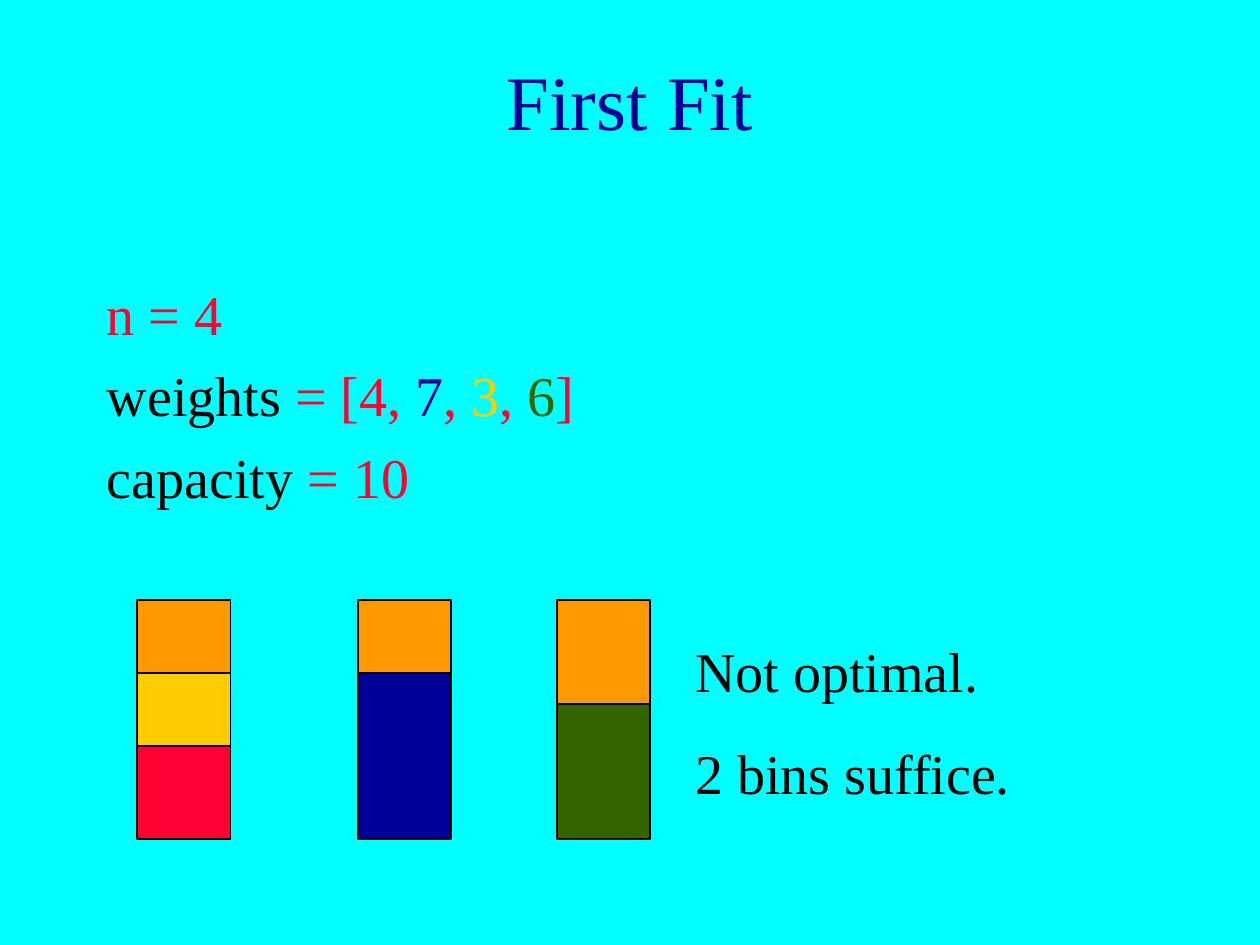
from pptx import Presentation
from pptx.dml.color import RGBColor
from pptx.enum.shapes import MSO_SHAPE as Shape
from pptx.enum.text import MSO_ANCHOR as Anchor, PP_ALIGN as Align
from pptx.util import Inches, Pt

FONT = "Times New Roman"
RED, BLUE, GOLD, GREEN = "FF0033", "000099", "FFCC00", "336600"
ORANGE, BLACK, CYAN = "FF9900", "000000", "00FFFF"

BIN_WIDTH, BIN_HEIGHT, FLOOR = 0.74, 1.9, 6.66
# Left edge of each bin, then its items from the floor up: height, colour
BINS = [
    (1.09, [(0.74, RED), (0.58, GOLD)]),
    (2.84, [(1.32, BLUE)]),
    (4.42, [(1.07, GREEN)]),
]
FACTS = [
    [("n = 4", RED)],
    [("weights ", BLACK), ("= [4, ", RED), ("7", BLUE), (", ", RED),
     ("3", GOLD), (", ", RED), ("6", GREEN), ("]", RED)],
    [("capacity ", BLACK), ("= 10", RED)],
]
REMARKS = [[("Not optimal.", BLACK)], [("2 bins suffice.", BLACK)]]


def paint(fill, color):
    fill.solid()
    fill.fore_color.rgb = RGBColor.from_string(color)


def style(run, size, color):
    run.font.name = FONT
    run.font.size = Pt(size)
    paint(run.font.fill, color)


def add_title(slide, text):
    title = slide.shapes.title
    title.left, title.top = Inches(0.75), Inches(0.17)
    title.width, title.height = Inches(8.5), Inches(1.25)
    frame = title.text_frame
    frame.text = text
    frame.vertical_anchor = Anchor.MIDDLE
    para = frame.paragraphs[0]
    para.alignment = Align.CENTER
    style(para.runs[0], 44, BLUE)


def add_lines(slide, box, lines, gap):
    """Write one paragraph per line, each a list of (text, colour)."""
    frame = slide.shapes.add_textbox(*map(Inches, box)).text_frame
    frame.word_wrap = True
    for i, line in enumerate(lines):
        para = frame.add_paragraph() if i else frame.paragraphs[0]
        para.space_before = Pt(gap)
        for text, color in line:
            run = para.add_run()
            run.text = text
            style(run, 32, color)


def add_block(slide, left, base, height, color):
    """Draw a bin-wide box that stands on base."""
    box = (left, base - height, BIN_WIDTH, height)
    block = slide.shapes.add_shape(Shape.RECTANGLE, *map(Inches, box))
    block.shadow.inherit = False
    paint(block.fill, color)
    paint(block.line.fill, BLACK)
    block.line.width = Pt(1)


def add_bin(slide, left, items):
    add_block(slide, left, FLOOR, BIN_HEIGHT, ORANGE)
    base = FLOOR
    for height, color in items:
        add_block(slide, left, base, height, color)
        base -= height


def main():
    deck = Presentation()
    deck.slide_width, deck.slide_height = Inches(10), Inches(7.5)
    slide = deck.slides.add_slide(deck.slide_layouts[5])
    paint(slide.background.fill, CYAN)
    add_title(slide, "First Fit")
    add_lines(slide, (0.75, 2.17, 8.5, 2.08), FACTS, 8)
    for left, items in BINS:
        add_bin(slide, left, items)
    add_lines(slide, (5.42, 5, 4.33, 1.45), REMARKS, 20)
    deck.save("out.pptx")


if __name__ == "__main__":
    main()
